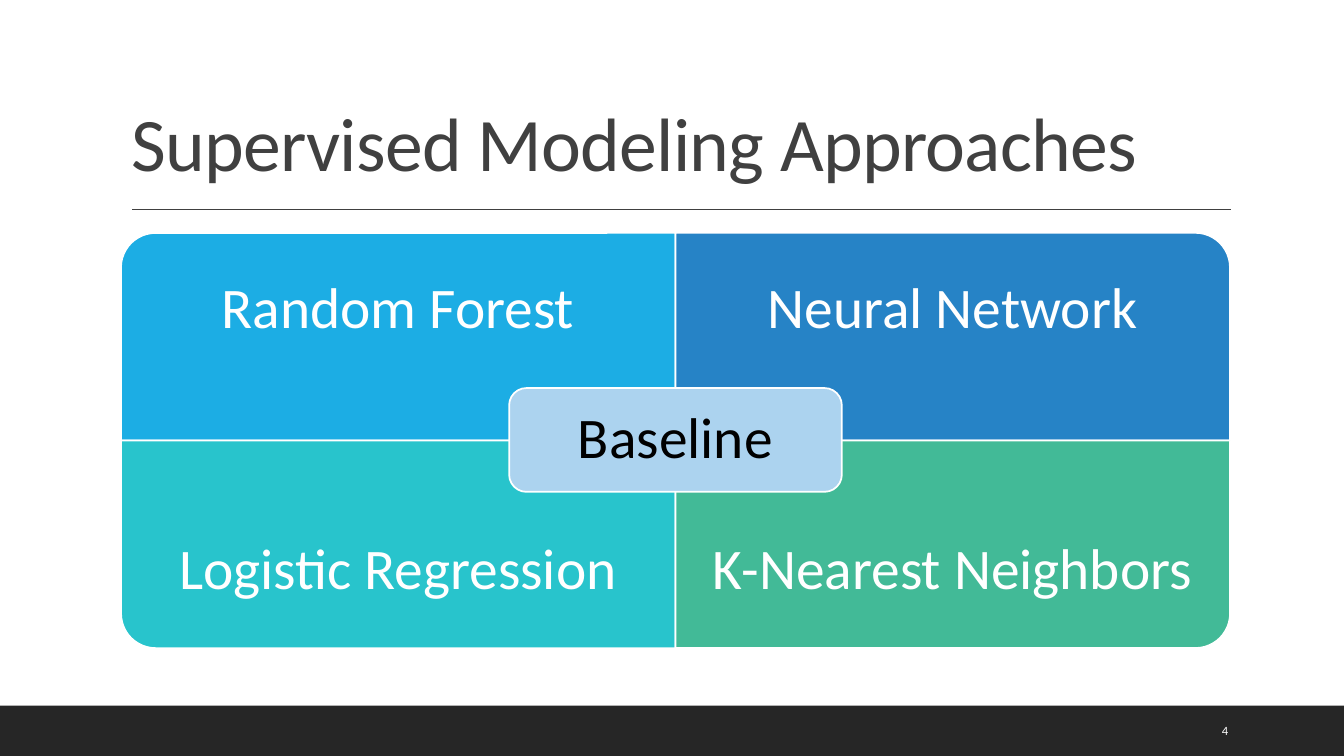
from lxml import etree
from pptx import Presentation
from pptx.dml.color import RGBColor
from pptx.enum import shapes, text
from pptx.oxml.ns import qn
from pptx.util import Inches, Pt

WHITE = RGBColor(0xFF, 0xFF, 0xFF)
BLACK = RGBColor(0, 0, 0)
GRAY = RGBColor(0x40, 0x40, 0x40)
DARK = RGBColor(0x26, 0x26, 0x26)
SKY = RGBColor(0x1C, 0xAD, 0xE4)
BLUE = RGBColor(0x26, 0x83, 0xC6)
TEAL = RGBColor(0x28, 0xC4, 0xCC)
GREEN = RGBColor(0x42, 0xBA, 0x97)
PALE = RGBColor(0xAC, 0xD3, 0xEF)
KIND = shapes.MSO_SHAPE

deck = Presentation()
deck.slide_width = Inches(13.33)
deck.slide_height = Inches(7.5)
slide = deck.slides.add_slide(deck.slide_layouts[5])


def draw(kind, left, top, width, height, fill, edge=True):
    shape = slide.shapes.add_shape(
        kind, Inches(left), Inches(top), Inches(width), Inches(height))
    shape.shadow.inherit = False
    shape.fill.solid()
    shape.fill.fore_color.rgb = fill
    if edge:
        shape.line.color.rgb = WHITE
        shape.line.width = Pt(1.25)
    else:
        shape.line.fill.background()
    return shape


def write(shape, words, size, color, align, space, pad=None):
    frame = shape.text_frame
    frame.word_wrap = True
    frame.auto_size = text.MSO_AUTO_SIZE.NONE
    frame.vertical_anchor = text.MSO_ANCHOR.MIDDLE
    if pad is not None:
        frame.margin_left = frame.margin_right = Inches(pad)
        frame.margin_top = frame.margin_bottom = Inches(pad)
    para = frame.paragraphs[0]
    para.alignment = align
    para.line_spacing = space
    run = para.add_run()
    run.text = words
    run.font.name = "Calibri"
    run.font.size = Pt(size)
    run.font.color.rgb = color
    return run


LEFT = text.PP_ALIGN.LEFT
MID = text.PP_ALIGN.CENTER

draw(KIND.RECTANGLE, 0, 7, 13.33, 0.5, DARK, False)
rule = slide.shapes.add_connector(
    shapes.MSO_CONNECTOR.STRAIGHT,
    Inches(1.31), Inches(2.08), Inches(12.21), Inches(2.08))
rule.line.color.rgb = GRAY
rule.line.width = Pt(1)
etree.SubElement(rule._element.spPr, qn("a:effectLst"))

title = slide.shapes.title
title.left, title.top = Inches(1.2), Inches(0.31)
title.width, title.height = Inches(11), Inches(1.59)
run = write(title, "Supervised Modeling Approaches", 54, GRAY, LEFT, 0.8)
run.font._element.set("spc", "-50")
title.text_frame.vertical_anchor = text.MSO_ANCHOR.BOTTOM

page = slide.shapes.add_textbox(
    Inches(12.02), Inches(7.05), Inches(0.85), Inches(0.4))
write(page, "4", 9, WHITE, LEFT, 1)

x, y, wide, high, tall = 1.2, 2.31, 5.5, 2.06, 1.54
models = [
    ("Random Forest", SKY, 0, 0, 270),
    ("Neural Network", BLUE, 1, 0, 0),
    ("Logistic Regression", TEAL, 0, 1, 180),
    ("K-Nearest Neighbors", GREEN, 1, 1, 90),
]
for name, fill, col, row, turn in models:
    left, top = x + col * wide, y + row * high
    w, h = (high, wide) if turn % 180 else (wide, high)
    tile = draw(KIND.ROUND_1_RECTANGLE, left + (wide - w) / 2,
                top + (high - h) / 2, w, h, fill)
    tile.rotation = turn
    label = slide.shapes.add_textbox(
        Inches(left), Inches(top + row * (high - tall)),
        Inches(wide), Inches(tall))
    write(label, name, 41, WHITE, MID, 0.9, 0.32)

base = draw(KIND.ROUNDED_RECTANGLE, 5.05, 3.85, 3.3, 1.03, PALE)
write(base, "Baseline", 41, BLACK, MID, 0.9, 0.17)

deck.save("out.pptx")
